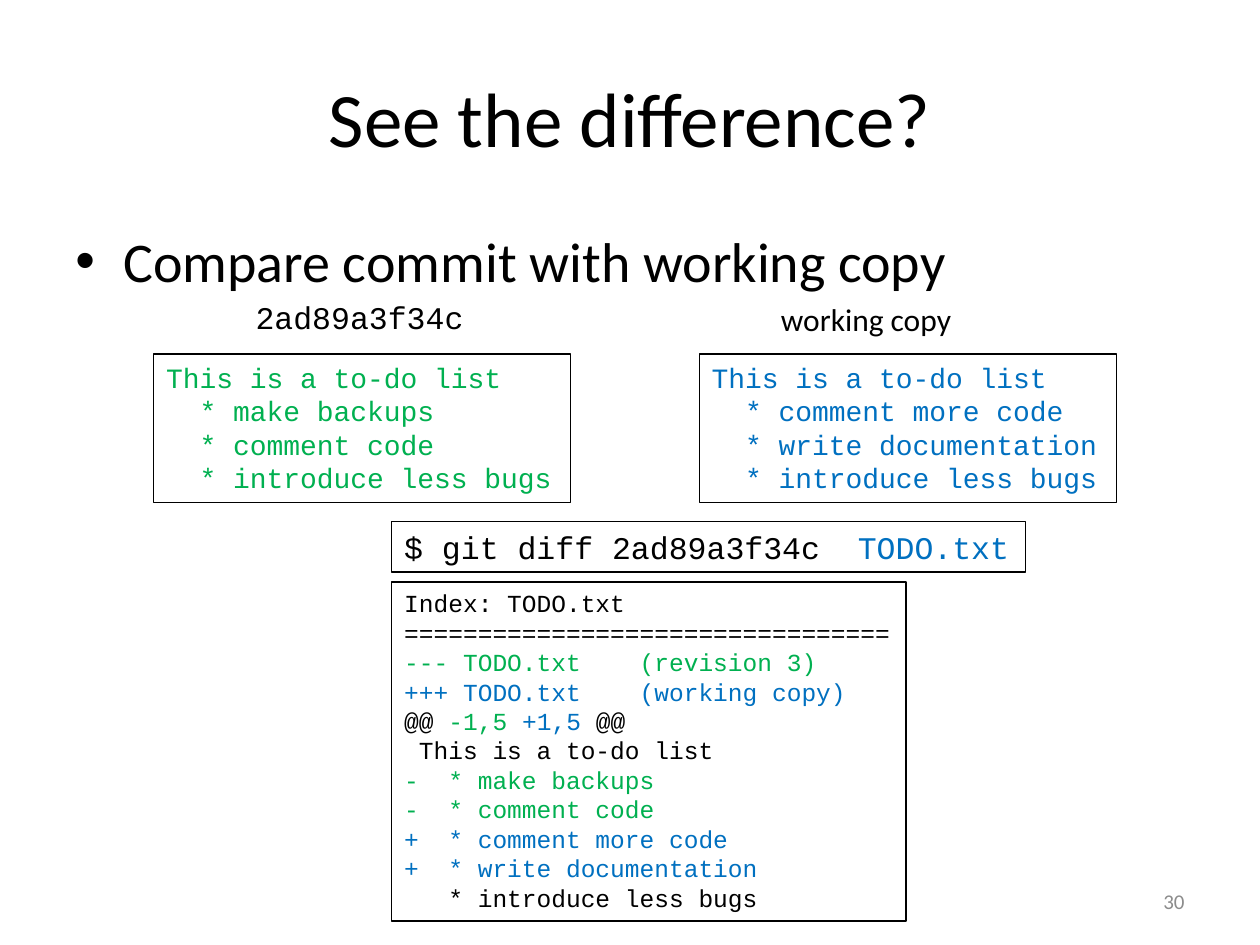
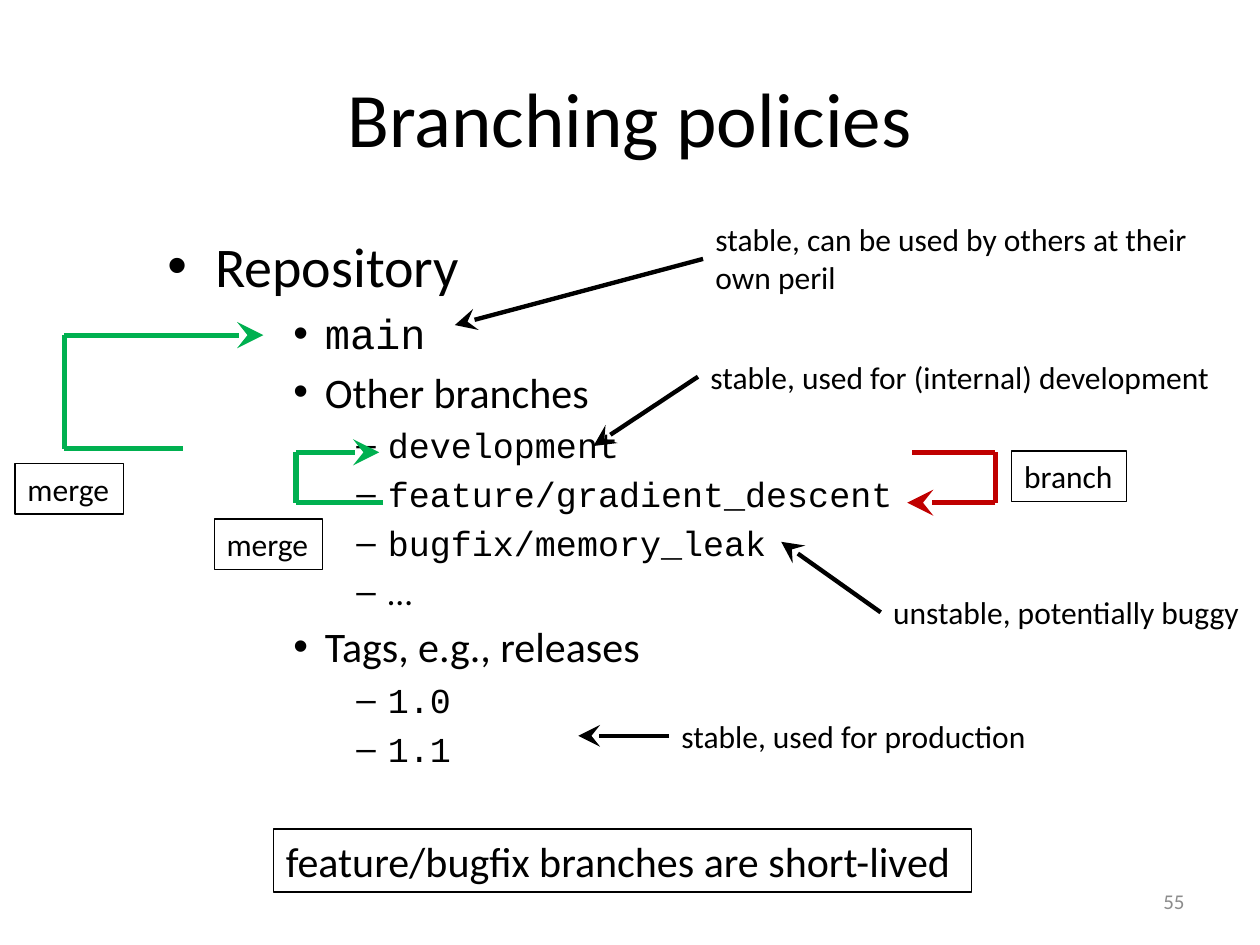
"""Build two slides on comparing revisions and on branching policies."""
from lxml import etree
from pptx import Presentation
from pptx.dml.color import RGBColor
from pptx.enum.shapes import MSO_CONNECTOR
from pptx.enum.text import MSO_ANCHOR, PP_ALIGN
from pptx.oxml.ns import qn
from pptx.util import Inches, Pt

STRAIGHT = MSO_CONNECTOR.STRAIGHT
TOP, MIDDLE = MSO_ANCHOR.TOP, MSO_ANCHOR.MIDDLE
LEFT, CENTER, RIGHT = PP_ALIGN.LEFT, PP_ALIGN.CENTER, PP_ALIGN.RIGHT
BLACK = RGBColor(0x00, 0x00, 0x00)
GREEN = RGBColor(0x00, 0xB0, 0x50)
BLUE = RGBColor(0x00, 0x70, 0xC0)
RED = RGBColor(0xC0, 0x00, 0x00)
GRAY = RGBColor(0x8C, 0x8C, 0x8C)
SANS, MONO = "Calibri", "Courier New"

LEVELS = [(32, 0.38, 0.38, "•"), (24, 1.25, 0.25, "•"), (20, 1.75, 0.25, "–")]

DIFF = {
    "title": "See the difference?",
    "number": "30",
    "at": (0.5, 1.75),
    "points": [(0, "Compare commit with working copy", SANS)],
}
LABELS = [
    ("2ad89a3f34c", MONO, (1.93, 2.32, 1.86, 0.4)),
    ("working copy", SANS, (6.1, 2.33, 1.57, 0.4)),
]
FILES = [
    (1.22, GREEN, ["This is a to-do list", "  * make backups",
                   "  * comment code", "  * introduce less bugs"]),
    (5.55, BLUE, ["This is a to-do list", "  * comment more code",
                  "  * write documentation", "  * introduce less bugs"]),
]
COMMAND = [[("$ git diff 2ad89a3f34c  ", BLACK), ("TODO.txt", BLUE)]]
OUTPUT = [
    [("Index: TODO.txt", BLACK)],
    [("=" * 33, BLACK)],
    [("--- TODO.txt    (revision 3)", GREEN)],
    [("+++ TODO.txt    (working copy)", BLUE)],
    [("@@ ", BLACK), ("-1,5 ", GREEN), ("+1,5", BLUE), (" @@", BLACK)],
    [(" This is a to-do list", BLACK)],
    [("-  * make backups", GREEN)],
    [("-  * comment code", GREEN)],
    [("+  * comment more code", BLUE)],
    [("+  * write documentation", BLUE)],
    [("   * introduce less bugs", BLACK)],
]

BRANCH = {
    "title": "Branching policies",
    "number": "55",
    "at": (1.23, 1.79),
    "points": [
        (0, "Repository", SANS),
        (1, "main", MONO),
        (1, "Other branches", SANS),
        (2, "development", MONO),
        (2, "feature/gradient_descent", MONO),
        (2, "bugfix/memory_leak", MONO),
        (2, "…", SANS),
        (1, "Tags, e.g., releases", SANS),
        (2, "1.0", MONO),
        (2, "1.1", MONO),
    ],
}
NOTES = [
    ("stable, can be used by others at their\nown peril",
     (5.58, 1.7, 3.99, 0.71), (3.61, 2.58)),
    ("stable, used for (internal) development",
     (5.54, 2.79, 4.21, 0.4), (4.71, 3.54)),
    ("stable, used for production", (5.31, 5.64, 2.97, 0.4), (4.59, 5.84)),
    ("unstable, potentially buggy", (6.99, 4.66, 2.98, 0.4), (6.2, 4.3)),
]
FLOWS = [
    ("merge", (0.12, 3.68, 0.86, 0.4), GREEN,
     [(1.45, 3.56), (0.51, 3.56), (0.51, 2.66), (2.09, 2.66)]),
    ("merge", (1.7, 4.12, 0.86, 0.4), GREEN,
     [(3.04, 3.99), (2.35, 3.99), (2.35, 3.59), (3.01, 3.59)]),
    ("branch", (8.03, 3.58, 0.91, 0.4), RED,
     [(7.24, 3.59), (7.9, 3.59), (7.9, 3.99), (7.2, 3.99)]),
]
MORAL = "feature/bugfix branches are short-lived"


def add_run(para, text, size, font, color):
    for i, part in enumerate(text.split("\n")):
        if i:
            para.add_line_break()
        run = para.add_run()
        run.text = part
        run.font.size = Pt(size)
        run.font.name = font
        run.font.color.rgb = color


def add_text(slide, at, lines, size, font=SANS, align=LEFT, anchor=TOP,
             wrap=False, frame=False):
    box = slide.shapes.add_textbox(*map(Inches, at))
    body = box.text_frame
    body.word_wrap = wrap
    body.vertical_anchor = anchor
    for i, line in enumerate(lines):
        para = body.add_paragraph() if i else body.paragraphs[0]
        para.alignment = align
        for text, color in line:
            add_run(para, text, size, font, color)
    if frame:
        box.line.color.rgb = BLACK
        box.line.width = Pt(0.75)
    return box


def add_line(slide, start, end, color, width, arrow=False):
    line = slide.shapes.add_connector(STRAIGHT, *map(Inches, start + end))
    line.line.color.rgb = color
    line.line.width = Pt(width)
    if arrow:
        edge = line.line._get_or_add_ln()
        etree.SubElement(edge, qn("a:tailEnd"), type="stealth",
                         w="lg", len="lg")
    etree.SubElement(line._element.spPr, qn("a:effectLst"))
    return line


def add_points(slide, at, points):
    box = slide.shapes.add_textbox(*map(Inches, at + (9, 4.95)))
    body = box.text_frame
    body.word_wrap = True
    for i, (level, text, font) in enumerate(points):
        size, indent, hang, mark = LEVELS[level]
        para = body.add_paragraph() if i else body.paragraphs[0]
        para.level = level
        para.space_before = Pt(size * 0.2)
        props = para._p.get_or_add_pPr()
        props.set("marL", str(Inches(indent)))
        props.set("indent", str(-Inches(hang)))
        etree.SubElement(props, qn("a:buFont"), typeface="Arial")
        etree.SubElement(props, qn("a:buChar"), char=mark)
        add_run(para, text, size, font, BLACK)


def add_slide(deck, page):
    slide = deck.slides.add_slide(deck.slide_layouts[6])
    add_text(slide, (0.5, 0.3, 9, 1.25), [[(page["title"], BLACK)]], 44,
             align=CENTER, anchor=MIDDLE, wrap=True)
    add_points(slide, page["at"], page["points"])
    add_text(slide, (7.17, 6.95, 2.33, 0.4), [[(page["number"], GRAY)]], 12,
             align=RIGHT, anchor=MIDDLE, wrap=True)
    return slide


def draw_diff(deck):
    slide = add_slide(deck, DIFF)
    for text, font, at in LABELS:
        add_text(slide, at, [[(text, BLACK)]], 18, font)
    for left, color, lines in FILES:
        add_text(slide, (left, 2.81, 3.31, 1.18),
                 [[(line, color)] for line in lines], 16, MONO, frame=True)
    add_text(slide, (3.11, 4.14, 5.03, 0.4), COMMAND, 18, MONO, frame=True)
    add_text(slide, (3.11, 4.62, 4.08, 2.69), OUTPUT, 14, MONO, frame=True)


def draw_branch(deck):
    slide = add_slide(deck, BRANCH)
    for text, at, end in NOTES:
        note = add_text(slide, at, [[(text, BLACK)]], 18)
        line = add_line(slide, at[:2], end, BLACK, 2.5, True)
        line.begin_connect(note, 1)
    for text, at, color, stops in FLOWS:
        add_text(slide, at, [[(text, BLACK)]], 18, frame=True)
        for start, end in zip(stops, stops[1:]):
            add_line(slide, start, end, color, 3, end == stops[-1])
    add_text(slide, (2.17, 6.58, 5.54, 0.5), [[(MORAL, BLACK)]], 24,
             frame=True)


def main():
    deck = Presentation()
    deck.slide_width, deck.slide_height = Inches(10), Inches(7.5)
    draw_diff(deck)
    draw_branch(deck)
    deck.save("out.pptx")


if __name__ == "__main__":
    main()
